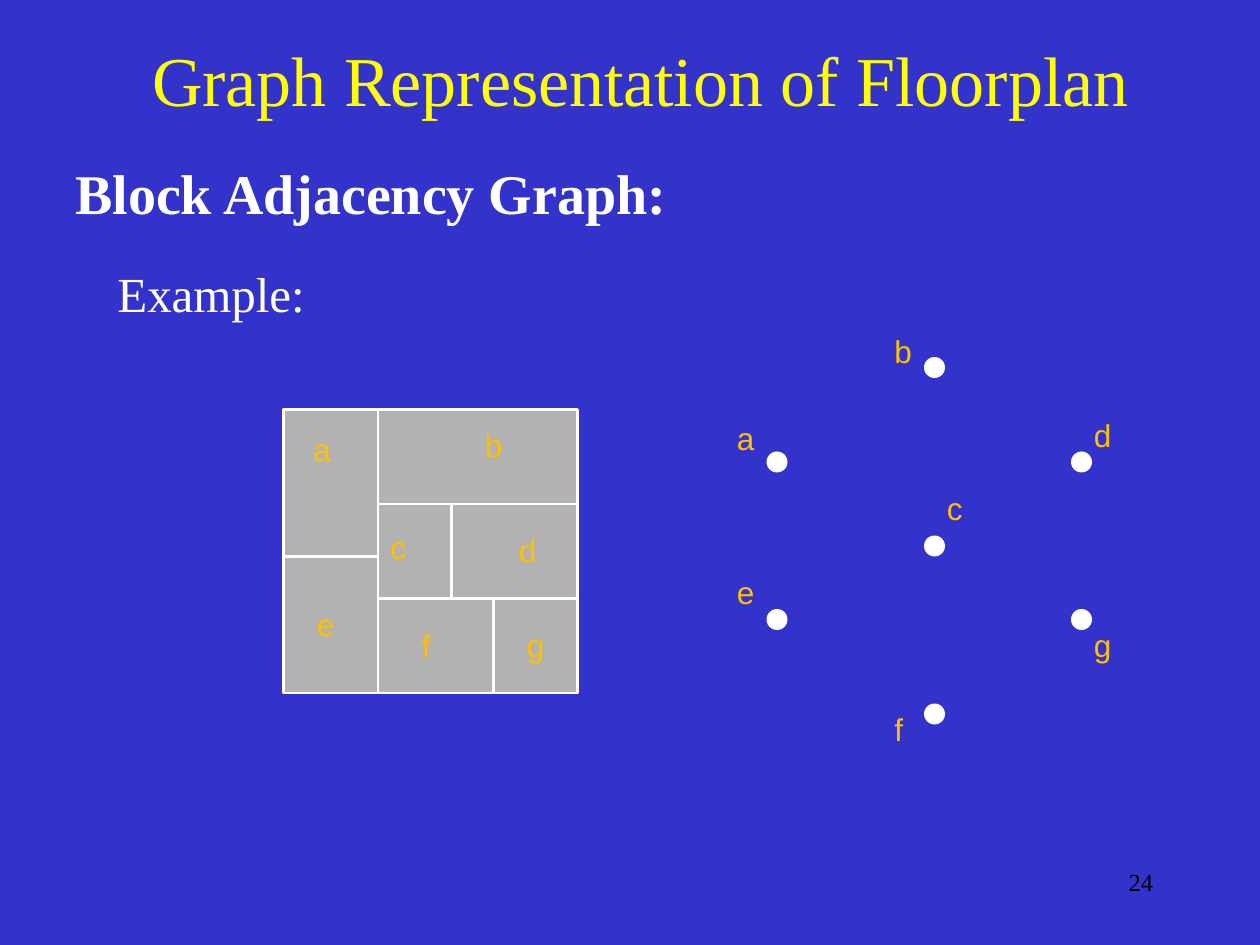
"""Build a slide showing a floorplan beside the nodes of its block adjacency graph."""
from dataclasses import dataclass

from pptx import Presentation
from pptx.dml.color import RGBColor
from pptx.enum.shapes import MSO_SHAPE
from pptx.enum.text import MSO_ANCHOR, MSO_AUTO_SIZE, PP_ALIGN
from pptx.util import Pt


@dataclass(frozen=True)
class Theme:
    background: str = "3333CC"
    title: str = "FFFF00"
    body: str = "FFFFFF"
    block: str = "B2B2B2"
    label: str = "FFC000"
    number: str = "000000"
    serif: str = "Times New Roman"
    sans: str = "Arial"
    title_size: int = 40
    heading_size: int = 32
    example_size: int = 28
    label_size: int = 18
    number_size: int = 14
    outline: float = 1.5
    node_size: int = 12


class FloorplanSlide:
    def __init__(self, deck, theme):
        self.theme = theme
        self.slide = deck.slides.add_slide(deck.slide_layouts[5])
        self.shapes = self.slide.shapes
        self.fill(self.slide.background, theme.background)

    def fill(self, target, color):
        target.fill.solid()
        target.fill.fore_color.rgb = RGBColor.from_string(color)

    def add_run(self, frame, wording, size, color, font, bold=False, align=PP_ALIGN.LEFT):
        paragraph = frame.paragraphs[0]
        paragraph.alignment = align
        run = paragraph.add_run()
        run.text = wording
        run.font.name = font
        run.font.size = Pt(size)
        run.font.bold = bold
        run.font.color.rgb = RGBColor.from_string(color)

    def title(self, wording, left, top, width, height):
        heading = self.shapes.title
        heading.left, heading.top = Pt(left), Pt(top)
        heading.width, heading.height = Pt(width), Pt(height)
        frame = heading.text_frame
        frame.vertical_anchor = MSO_ANCHOR.MIDDLE
        frame.auto_size = MSO_AUTO_SIZE.NONE
        self.add_run(frame, wording, self.theme.title_size, self.theme.title,
                     self.theme.serif, align=PP_ALIGN.CENTER)

    def text(self, wording, bounds, size, color, font, inset=3.6, **style):
        frame = self.shapes.add_textbox(*map(Pt, bounds)).text_frame
        frame.word_wrap = True
        frame.margin_top = Pt(inset)
        self.add_run(frame, wording, size, color, font, **style)
        return frame

    def label(self, letter, left, top):
        frame = self.text(letter, (left, top, 30, 28.8), self.theme.label_size,
                          self.theme.label, self.theme.sans)
        frame.auto_size = MSO_AUTO_SIZE.SHAPE_TO_FIT_TEXT

    def floorplan(self, blocks):
        plan = self.shapes.add_group_shape()
        for bounds, _ in blocks.values():
            block = plan.shapes.add_shape(MSO_SHAPE.RECTANGLE, *map(Pt, bounds))
            block.shadow.inherit = False
            self.fill(block, self.theme.block)
            block.line.color.rgb = RGBColor.from_string(self.theme.body)
            block.line.width = Pt(self.theme.outline)
        for letter, (_, label_place) in blocks.items():
            self.label(letter, *label_place)

    def node(self, letter, place, label_place):
        size = Pt(self.theme.node_size)
        dot = self.shapes.add_shape(MSO_SHAPE.OVAL, *map(Pt, place), size, size)
        dot.shadow.inherit = False
        self.fill(dot, self.theme.body)
        dot.line.fill.background()
        self.label(letter, *label_place)


BLOCKS = {
    "a": ((162, 234, 54, 84), (172, 242)),
    "b": ((216, 234, 114, 54), (270, 240)),
    "c": ((216, 288, 42, 54), (216, 298)),
    "d": ((258, 288, 72, 54), (289.5, 300)),
    "e": ((162, 318, 54, 78), (174, 342)),
    "f": ((216, 342, 66, 54), (234, 354)),
    "g": ((282, 342, 48, 54), (294, 354)),
}

NODES = {
    "a": ((438, 258), (414, 236)),
    "b": ((528, 204), (504, 186)),
    "c": ((528, 306), (534, 276)),
    "d": ((612, 258), (618, 234)),
    "e": ((438, 348), (414, 324)),
    "f": ((528, 402), (504, 402)),
    "g": ((612, 348), (618, 354)),
}


def main():
    theme = Theme()
    deck = Presentation()
    deck.slide_width, deck.slide_height = Pt(720), Pt(540)
    page = FloorplanSlide(deck, theme)
    page.title("Graph Representation of Floorplan", 72, 12, 588, 66)
    page.text("Block Adjacency Graph:", (36, 84, 648, 54), theme.heading_size,
              theme.body, theme.serif, inset=6.6, bold=True)
    page.text("Example:", (60, 144, 126, 48), theme.example_size,
              theme.body, theme.serif, inset=6.6)
    page.floorplan(BLOCKS)
    for letter, places in NODES.items():
        page.node(letter, *places)
    page.text("24", (516, 492, 150, 36), theme.number_size,
              theme.number, theme.serif, align=PP_ALIGN.RIGHT)
    deck.save("out.pptx")


if __name__ == "__main__":
    main()
